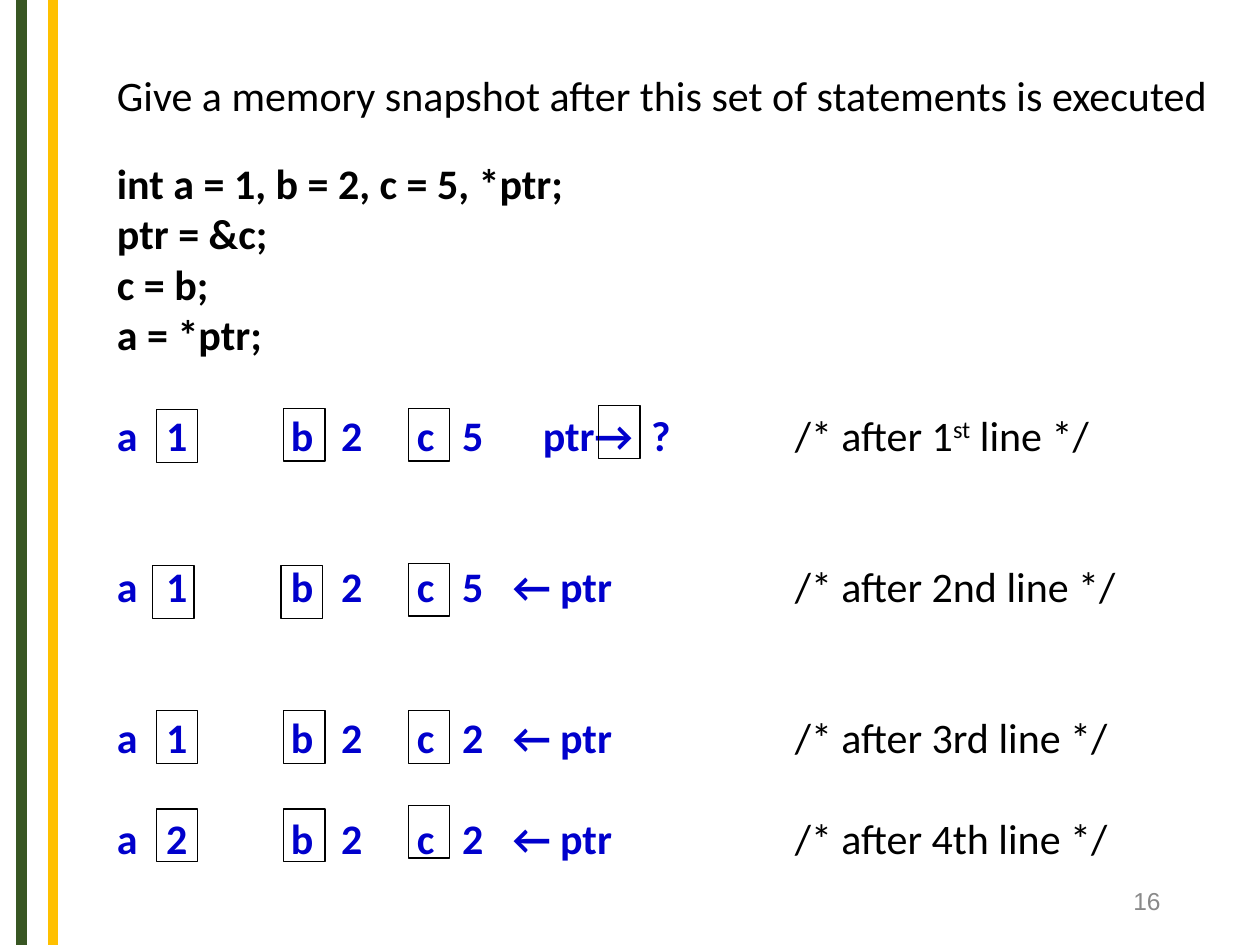
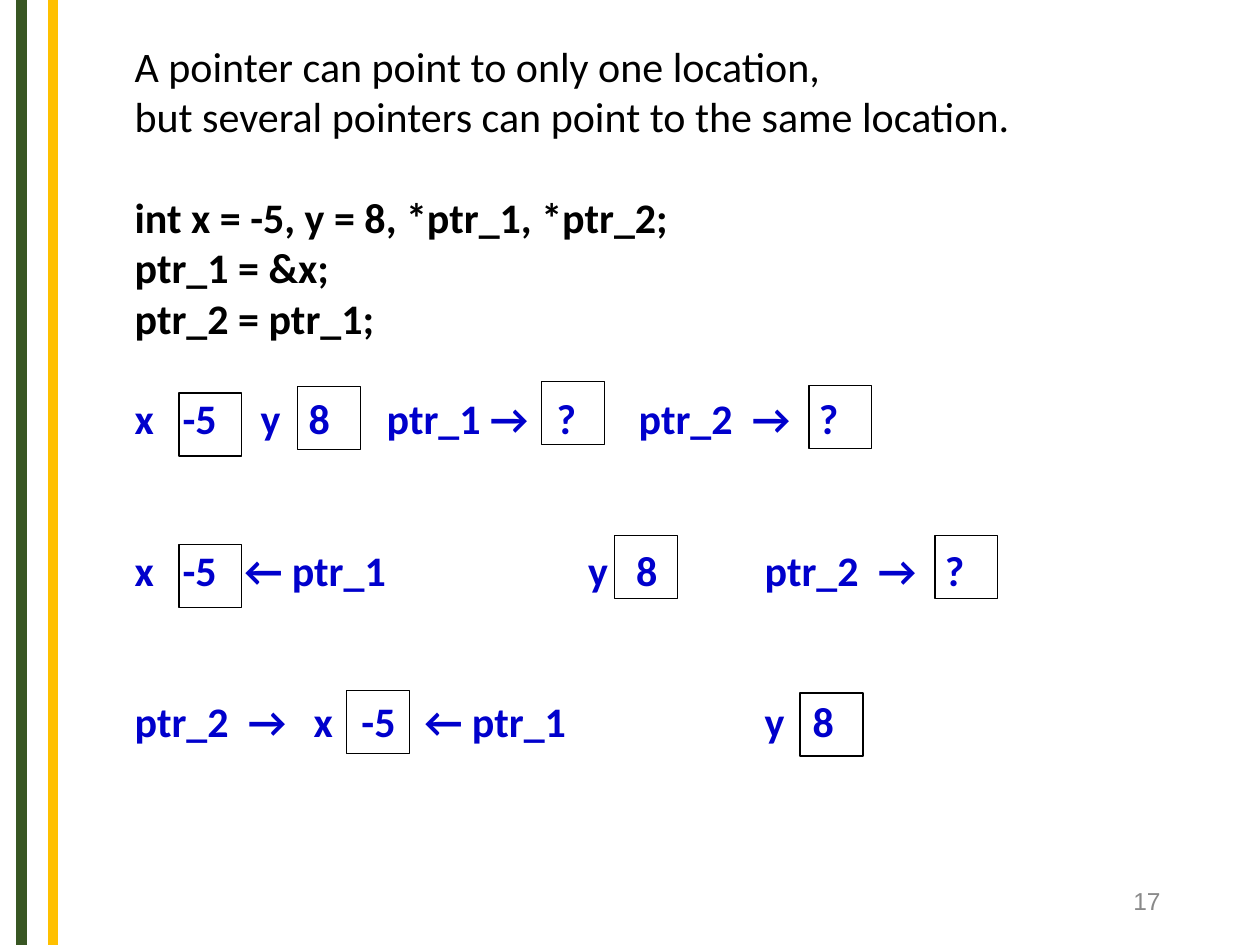
"""Two slides on pointers: code listings with memory snapshots."""
from lxml.etree import SubElement
from pptx import Presentation
from pptx.dml.color import RGBColor
from pptx.enum.shapes import MSO_CONNECTOR, MSO_SHAPE
from pptx.enum.text import MSO_ANCHOR, PP_ALIGN
from pptx.oxml.ns import qn
from pptx.util import Inches, Pt

GREEN = RGBColor(0x38, 0x56, 0x23)
GOLD = RGBColor(0xFF, 0xC0, 0x00)
GREY = RGBColor(0x89, 0x89, 0x89)
BLUE = RGBColor(0x00, 0x00, 0xCC)
BLACK = RGBColor(0x00, 0x00, 0x00)
BODY_SIZE = 24
LINE = 28.8
COMMENT_STOP = 5.38


def add_band(page, left, color):
    """Draw one vertical band down the left edge."""
    band = page.shapes.add_connector(
        MSO_CONNECTOR.STRAIGHT, Inches(left), 0, Inches(left), Inches(7.5))
    band.line.color.rgb = color
    band.line.width = Pt(6)
    SubElement(band._element.spPr, qn("a:effectLst"))


def add_text_box(page, left, top, width, height):
    """Add a wrapping text box and return its text frame."""
    box = page.shapes.add_textbox(
        Inches(left), Inches(top), Inches(width), Inches(height))
    box.text_frame.word_wrap = True
    return box.text_frame


def style_span(span, color=BLACK, bold=False, size=BODY_SIZE, name="Calibri"):
    """Format one run."""
    span.font.name = name
    span.font.size = Pt(size)
    span.font.bold = bold
    span.font.color.rgb = color


def add_page(deck, number):
    """Add a blank page with its bands and page number."""
    page = deck.slides.add_slide(deck.slide_layouts[6])
    add_band(page, 0.17, GREEN)
    add_band(page, 0.42, GOLD)
    frame = add_text_box(page, 7.06, 6.95, 2.25, 0.4)
    frame.vertical_anchor = MSO_ANCHOR.MIDDLE
    frame.text = str(number)
    para = frame.paragraphs[0]
    para.alignment = PP_ALIGN.RIGHT
    style_span(para.runs[0], GREY, size=14, name="Arial")
    return page


def add_lines(frame, lines, gap=0, bold=False):
    """Add lines of text, with a gap in points above the first."""
    for index, line in enumerate(lines):
        para = frame.paragraphs[0] if not frame.text else frame.add_paragraph()
        para.text = line
        if gap and index == 0:
            para.space_before = Pt(gap)
        style_span(para.runs[0], bold=bold)


def set_tab_stops(para, stops):
    """Place left tab stops, in inches from the text edge."""
    tabs = SubElement(para._p.get_or_add_pPr(), qn("a:tabLst"))
    for stop in stops:
        SubElement(tabs, qn("a:tab"), pos=str(Inches(stop)), algn="l")


def add_memory_row(frame, cells, blank_lines, comment=()):
    """Add a row of cells keyed by tab stop, then the comment spans."""
    para = frame.add_paragraph()
    para.text = "\t".join(cells.values()) + ("\t" if comment else "")
    stops = [stop for stop in cells if stop]
    set_tab_stops(para, stops + ([COMMENT_STOP] if comment else []))
    para.space_before = Pt(blank_lines * LINE)
    style_span(para.runs[0], BLUE, bold=True)
    for text in comment:
        span = para.add_run()
        span.text = text
        style_span(span)
        if text == "st":
            span._r.get_or_add_rPr().set("baseline", "30000")


def add_memory_boxes(page, corners, width, height):
    """Outline one memory cell at each (left, top) corner."""
    for left, top in corners:
        cell = page.shapes.add_shape(
            MSO_SHAPE.RECTANGLE, Inches(left), Inches(top),
            Inches(width), Inches(height))
        cell.shadow.inherit = False
        cell.fill.background()
        cell.line.color.rgb = BLACK
        cell.line.width = Pt(0.75)


def build_snapshot_page(deck):
    """Build the exercise with a snapshot after each statement."""
    page = add_page(deck, 16)
    frame = add_text_box(page, 0.83, 0.5, 8.94, 6.5)
    add_lines(frame, [
        "Give a memory snapshot after this set of statements is executed"])
    add_lines(frame, ["int a = 1, b = 2, c = 5, *ptr;", "ptr = &c;",
                      "c = b;", "a = *ptr;"], gap=21.6, bold=True)
    unset_pointer = {3.38: "ptr→", 4.24: "?"}
    set_pointer = {3.14: "← ptr"}
    snapshots = [
        ("1", "5", unset_pointer, 1, ("/* after 1", "st", " line */")),
        ("1", "5", set_pointer, 2, ("/* after 2nd line */",)),
        ("1", "2", set_pointer, 2, ("/* after 3rd line */",)),
        ("2", "2", set_pointer, 1, ("/* after 4th line */",)),
    ]
    for a, c, pointer, blank_lines, comment in snapshots:
        cells = {0: "a", 0.39: a, 1.38: "b", 1.78: "2", 2.38: "c", 2.74: c}
        add_memory_row(frame, {**cells, **pointer}, blank_lines, comment)
    add_memory_boxes(page, [
        (1.24, 3.25), (2.25, 3.24), (3.24, 3.24), (4.75, 3.22),
        (1.21, 4.49), (2.23, 4.49), (3.24, 4.47),
        (1.24, 5.64), (2.25, 5.64), (3.24, 5.64),
        (1.24, 6.42), (2.25, 6.42), (3.24, 6.39)], 0.33, 0.42)


def build_shared_location_page(deck):
    """Build the example of two pointers to one location."""
    page = add_page(deck, 17)
    frame = add_text_box(page, 0.97, 0.27, 7.21, 6.5)
    add_lines(frame, ["A pointer can point to only one location,",
                      "but several pointers can point to the same location."])
    add_lines(frame, ["int x = -5, y = 8, *ptr_1, *ptr_2;", "ptr_1 = &x;",
                      "ptr_2 = ptr_1;"], gap=LINE, bold=True)
    add_memory_row(frame, {
        0: "x", 0.38: "-5", 1: "y", 1.38: "8", 2: "ptr_1 →", 3.35: "?",
        4: "ptr_2", 4.9: "→", 5.43: "?"}, 1)
    add_memory_row(frame, {
        0: "x", 0.38: "-5", 0.87: "← ptr_1", 3.6: "y", 3.98: "8",
        5: "ptr_2", 5.9: "→", 6.43: "?"}, 2)
    add_memory_row(frame, {
        0: "ptr_2", 0.9: "→", 1.42: "x", 1.8: "-5", 2.3: "← ptr_1",
        5: "y", 5.38: "8"}, 2)
    add_memory_boxes(page, [
        (1.42, 3.12), (2.36, 3.07), (4.3, 3.03), (6.42, 3.06),
        (1.42, 4.32), (4.88, 4.25), (7.42, 4.25),
        (2.75, 5.48), (6.35, 5.5)], 0.5, 0.5)


def main():
    """Build and save the deck."""
    deck = Presentation()
    deck.slide_width = Inches(10)
    deck.slide_height = Inches(7.5)
    build_snapshot_page(deck)
    build_shared_location_page(deck)
    deck.save("out.pptx")


if __name__ == "__main__":
    main()
